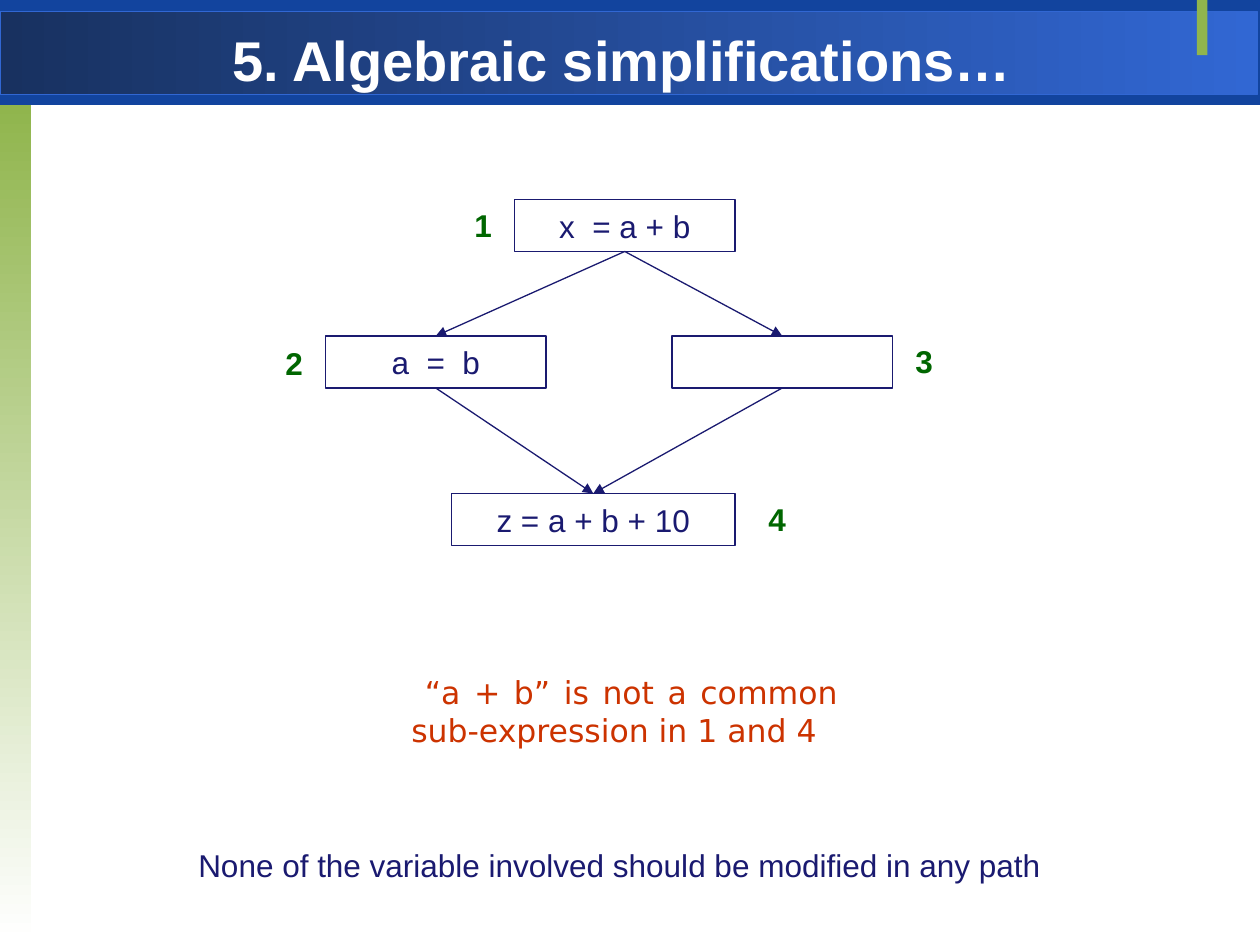
"""Build the slide on algebraic simplifications with its control-flow graph."""
from dataclasses import dataclass

from lxml import etree
from pptx import Presentation
from pptx.dml.color import RGBColor
from pptx.enum.shapes import MSO_CONNECTOR, MSO_SHAPE
from pptx.enum.text import MSO_ANCHOR, MSO_AUTO_SIZE, PP_ALIGN
from pptx.oxml.ns import qn
from pptx.util import Inches, Length, Pt

RECTANGLE = MSO_SHAPE.RECTANGLE
STRAIGHT = MSO_CONNECTOR.STRAIGHT
TOP, MIDDLE = MSO_ANCHOR.TOP, MSO_ANCHOR.MIDDLE
FIXED = MSO_AUTO_SIZE.NONE
LEFT, CENTER, JUSTIFY = PP_ALIGN.LEFT, PP_ALIGN.CENTER, PP_ALIGN.JUSTIFY
TOP_SITE, BOTTOM_SITE = 0, 2

WHITE = RGBColor(0xFF, 0xFF, 0xFF)
HEADER_BLUE = RGBColor(0x12, 0x44, 0x9E)
DEEP_BLUE = RGBColor(0x18, 0x31, 0x60)
BRIGHT_BLUE = RGBColor(0x31, 0x67, 0xD3)
LEAF = RGBColor(0x90, 0xB5, 0x4D)
NAVY = RGBColor(0x1A, 0x1A, 0x70)
GREEN = RGBColor(0x00, 0x66, 0x00)
RUST = RGBColor(0xCC, 0x33, 0x00)

WIDTH, HEIGHT = Inches(10), Inches(7.5)
COLUMNS, ROWS = 120, 90
NODE_ROWS, NUMBER_COLUMNS, LINE_ROWS = 4.95, 5, 4.8


@dataclass(frozen=True)
class Area:
    """A rectangle in grid columns and rows."""
    column: float
    row: float
    columns: float
    rows: float

    def lengths(self) -> tuple[Length, ...]:
        """Return left, top, width and height."""
        across, down = WIDTH / COLUMNS, HEIGHT / ROWS
        return tuple(Length(round(value)) for value in (
            self.column * across, self.row * down,
            self.columns * across, self.rows * down))


@dataclass(frozen=True)
class Band:
    """A decorative band with one colour or a two-colour gradient."""
    area: Area
    colors: tuple[RGBColor, ...]
    angle: float = 0
    outline: RGBColor | None = None


@dataclass(frozen=True)
class Block:
    """A numbered basic block of the flow graph."""
    number: str
    code: str
    area: Area
    number_column: float
    number_row: float


@dataclass(frozen=True)
class Note:
    """A remark below the flow graph."""
    text: str
    area: Area
    color: RGBColor
    font: str
    align: PP_ALIGN


BANDS = (
    Band(Area(0, 0, 120, 10), (HEADER_BLUE,)),
    Band(Area(0, 1.1, 119.8, 7.9), (DEEP_BLUE, BRIGHT_BLUE), outline=BRIGHT_BLUE),
    Band(Area(0, 10, 3, 79.7), (LEAF, WHITE), angle=270),
    Band(Area(114, 0, 1, 5.25), (LEAF,)),
)
BLOCKS = (
    Block("1", "x  = a + b", Area(49, 19, 21, NODE_ROWS), 44, 19),
    Block("2", "a  =  b", Area(31, 32, 21, NODE_ROWS), 26, 32.2),
    Block("3", "", Area(64, 32, 21, NODE_ROWS), 86, 32),
    Block("4", "z = a + b + 10", Area(43, 47, 27, NODE_ROWS), 72, 47),
)
FLOWS = (("1", "2"), ("1", "3"), ("3", "4"), ("2", "4"))
NOTES = (
    Note(" “a + b” is not a common sub-expression in 1 and 4",
         Area(38, 63.5, 43, 8.5), RUST, "DejaVu Sans", JUSTIFY),
    Note("None of the variable involved should be modified in any path",
         Area(17, 80, 84, LINE_ROWS), NAVY, "Arial", CENTER),
)
TITLE_AREA = Area(6, 1.45, 108, 6.5)


def write(frame, text: str, color: RGBColor, align: PP_ALIGN, font: str = "Arial",
          size: float = 18, bold: bool = False) -> None:
    """Put one formatted run into a text frame."""
    frame.word_wrap = True
    frame.auto_size = FIXED
    paragraph = frame.paragraphs[0]
    paragraph.alignment = align
    run = paragraph.add_run()
    run.text = text
    run.font.name, run.font.size, run.font.bold = font, Pt(size), bold
    run.font.color.rgb = color


def outline_with(line, color: RGBColor) -> None:
    """Give a line its colour and the common thin width."""
    line.color.rgb = color
    line.width = Pt(0.75)


def draw_band(slide, band: Band) -> None:
    """Draw a decorative band."""
    bar = slide.shapes.add_shape(RECTANGLE, *band.area.lengths())
    bar.shadow.inherit = False
    if len(band.colors) == 1:
        bar.fill.solid()
        bar.fill.fore_color.rgb = band.colors[0]
    else:
        bar.fill.gradient()
        bar.fill.gradient_angle = band.angle
        for position, (stop, color) in enumerate(zip(bar.fill.gradient_stops, band.colors)):
            stop.position = position
            stop.color.rgb = color
    if band.outline is None:
        bar.line.fill.background()
    else:
        outline_with(bar.line, band.outline)


def draw_text(slide, text: str, area: Area, color: RGBColor, align: PP_ALIGN,
              font: str = "Arial", bold: bool = False) -> None:
    """Draw a free-standing text."""
    frame = slide.shapes.add_textbox(*area.lengths()).text_frame
    write(frame, text, color, align, font, bold=bold)


def draw_block(slide, block: Block):
    """Draw a basic block with its number and return the node."""
    node = slide.shapes.add_shape(RECTANGLE, *block.area.lengths())
    node.shadow.inherit = False
    node.fill.background()
    outline_with(node.line, NAVY)
    if block.code:
        node.text_frame.vertical_anchor = MIDDLE
        write(node.text_frame, block.code, NAVY, CENTER)
    number_area = Area(block.number_column, block.number_row, NUMBER_COLUMNS, LINE_ROWS)
    draw_text(slide, block.number, number_area, GREEN, LEFT, bold=True)
    return node


def draw_flow(slide, source, target) -> None:
    """Join two nodes with an arrow."""
    arrow = slide.shapes.add_connector(STRAIGHT, 0, 0, 0, 0)
    arrow.begin_connect(source, BOTTOM_SITE)
    arrow.end_connect(target, TOP_SITE)
    outline_with(arrow.line, NAVY)
    properties = arrow.element.spPr
    etree.SubElement(properties.find(qn("a:ln")), qn("a:tailEnd"), type="triangle")
    etree.SubElement(properties, qn("a:effectLst"))


def place_title(slide) -> None:
    """Set the title in front of the header bands."""
    title = slide.shapes.title
    title.left, title.top, title.width, title.height = TITLE_AREA.lengths()
    frame = title.text_frame
    frame.vertical_anchor = TOP
    frame.margin_top, frame.margin_bottom = Inches(0.08), 0
    write(frame, "5. Algebraic simplifications… ", WHITE, CENTER, size=32, bold=True)
    slide.shapes.element.append(title.element)


def main() -> None:
    """Build and save the presentation."""
    deck = Presentation()
    deck.slide_width, deck.slide_height = WIDTH, HEIGHT
    slide = deck.slides.add_slide(deck.slide_layouts[5])
    for band in BANDS:
        draw_band(slide, band)
    for note in NOTES:
        draw_text(slide, note.text, note.area, note.color, note.align, note.font)
    nodes = {block.number: draw_block(slide, block) for block in BLOCKS}
    for source, target in FLOWS:
        draw_flow(slide, nodes[source], nodes[target])
    place_title(slide)
    deck.save("out.pptx")


if __name__ == "__main__":
    main()
